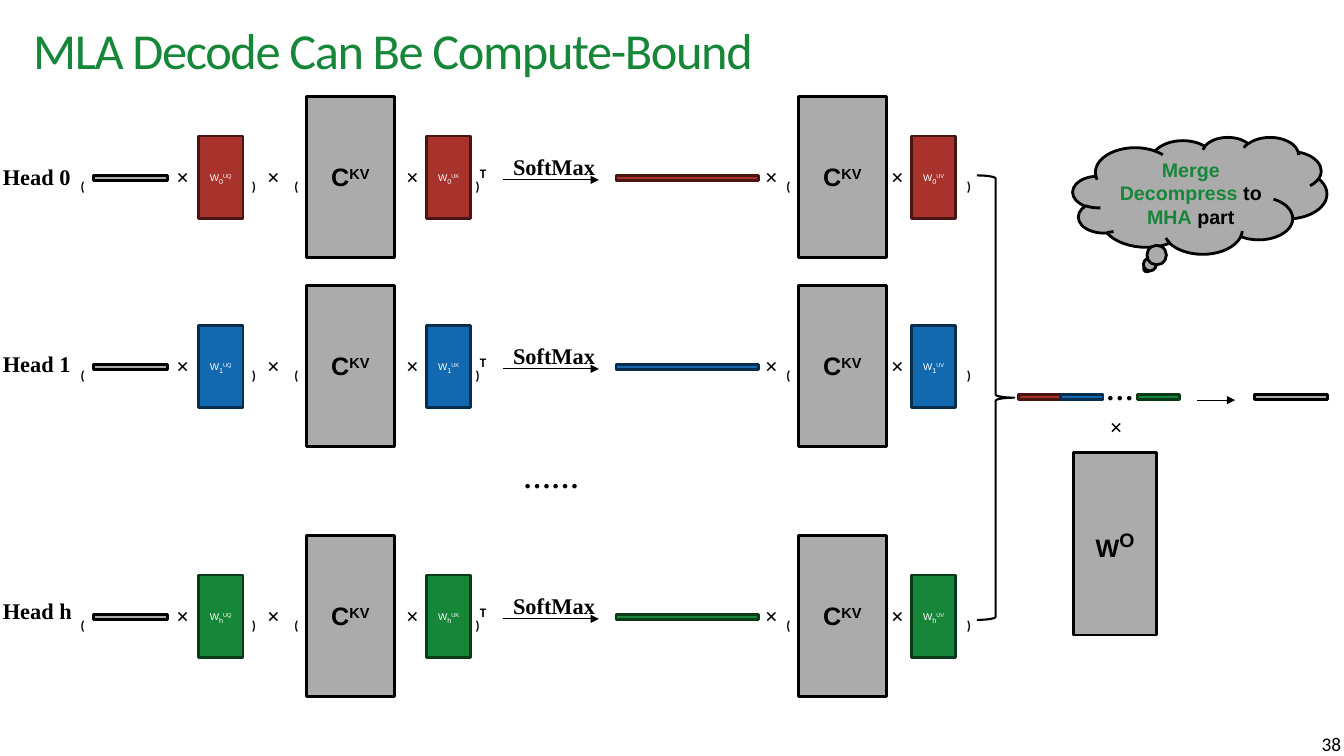
from dataclasses import dataclass

from lxml import etree
from pptx import Presentation
from pptx import util as u
from pptx.dml.color import RGBColor
from pptx.enum import shapes, text
from pptx.oxml.ns import qn

COLUMNS, ROWS = 133.3, 75  # grid of tenth-of-an-inch cells
SUB, SUPER = -25, 30


@dataclass(frozen=True)
class Theme:
    black: str = "000000"
    white: str = "FFFFFF"
    accent: str = "168638"
    # fill and outline pairs
    grey: tuple = ("ABABAB", "000000")
    red: tuple = ("A8322C", "4A1613")
    blue: tuple = ("1269B0", "082E4D")
    green: tuple = ("168638", "0A3B19")
    sans: str = "Arial"
    serif: str = "Times New Roman"
    heading: str = "Calibri"
    title: float = 36
    output: float = 24
    ellipsis: float = 20
    matrix: float = 18
    formula: float = 16
    callout: float = 14
    number: float = 13.8
    index: float = 9
    weight: float = 7
    outline: float = 2
    brace: float = 1.5
    arrow: float = 0.75


class Diagram:
    """Holds the theme and the current slide; lengths are grid columns and rows."""

    def __init__(self, deck, theme):
        self.theme = theme
        self.column = deck.slide_width / COLUMNS
        self.row = deck.slide_height / ROWS
        self.slide = deck.slides.add_slide(deck.slide_layouts[6])

    def place(self, left, top, width, height):
        return (round(left * self.column), round(top * self.row),
                round(width * self.column), round(height * self.row))

    def add_words(self, frame, runs, size, font, color, bold=True,
                  align=text.PP_ALIGN.LEFT):
        """Each run is (words, baseline, size, colour); trailing parts are optional."""
        line = frame.paragraphs[0]
        line.alignment = align
        line.font.name, line.font.size, line.font.bold = font, u.Pt(size), bold
        line.font.color.rgb = RGBColor.from_string(color)
        for words, *style in runs:
            baseline, own_size, own_color = (style + [None] * 3)[:3]
            run = line.add_run()
            run.text = words
            if baseline:
                run._r.get_or_add_rPr().set("baseline", str(baseline * 1000))
            if own_size:
                run.font.size = u.Pt(own_size)
            if own_color:
                run.font.color.rgb = RGBColor.from_string(own_color)
        return line

    def label(self, box, runs, size, font, color=None, wrap=True, **style):
        frame = self.slide.shapes.add_textbox(*self.place(*box)).text_frame
        frame.word_wrap = wrap
        line = self.add_words(frame, runs, size, font, color or self.theme.black,
                              **style)
        return frame, line

    def symbol(self, left, top, sign, *raised):
        """A multiplication sign or a lowered bracket of a formula."""
        times = sign == "×"
        run = (sign,) if times else (sign, SUB)
        self.label((left, top, 3.2, 3.7 if times else 2.8), [run, *raised],
                   self.theme.formula,
                   self.theme.serif if times else self.theme.heading, wrap=False)

    def block(self, box, paint, runs=(), size=None, color=None,
              kind=shapes.MSO_SHAPE.RECTANGLE):
        shape = self.slide.shapes.add_shape(kind, *self.place(*box))
        shape.shadow.inherit = False
        fill, outline = paint
        shape.fill.solid()
        shape.fill.fore_color.rgb = RGBColor.from_string(fill)
        shape.line.color.rgb = RGBColor.from_string(outline)
        shape.line.width = u.Pt(self.theme.outline)
        if runs:
            shape.text_frame.vertical_anchor = text.MSO_ANCHOR.MIDDLE
            self.add_words(shape.text_frame, runs, size, self.theme.sans,
                           color or self.theme.black, size != self.theme.weight,
                           text.PP_ALIGN.CENTER)

    def bar(self, left, middle, width, paint):
        self.block((left, middle - 0.25, width, 0.5), paint)

    def cache(self, left, middle):
        self.block((left, middle - 8.1, 8.7, 16), self.theme.grey,
                   [("C",), ("KV", SUPER)], self.theme.matrix)

    def weight(self, left, middle, index, name, paint):
        self.block((left, middle - 4.15, 4.4, 8.2), paint,
                   [("W",), (index, SUB, self.theme.index), (name, SUPER)],
                   self.theme.weight, self.theme.white)

    def arrow(self, start, end, row):
        x1, y, length, _ = self.place(start, row, end - start, 0)
        line = self.slide.shapes.add_connector(
            shapes.MSO_CONNECTOR.STRAIGHT, x1, y, x1 + length, y)
        line.line.color.rgb = RGBColor.from_string(self.theme.black)
        line.line.width = u.Pt(self.theme.arrow)
        properties = line._element.spPr
        etree.SubElement(properties.find(qn("a:ln")), qn("a:tailEnd"), type="triangle")
        etree.SubElement(properties, qn("a:effectLst"))

    def brace(self, box):
        brace = self.slide.shapes.add_shape(
            shapes.MSO_SHAPE.RIGHT_BRACE, *self.place(*box))
        brace.shadow.inherit = False
        brace.fill.background()
        brace.line.color.rgb = RGBColor.from_string(self.theme.black)
        brace.line.width = u.Pt(self.theme.brace)

    def head(self, index, middle, label_top, paint):
        """One attention head: query, key and value chain on a shared middle row."""
        signs = middle - 1.95
        self.bar(9.3, middle, 7.3, self.theme.grey)
        for left, name in ((19.7, "UQ"), (42.3, "UK"), (90.4, "UV")):
            self.weight(left, middle, index, name, paint)
        for left in (30.4, 79.2):
            self.cache(left, middle)
        for left in (16.5, 25.5, 39.3, 74.9, 87.4):
            self.symbol(left, signs, "×")
        for left in (7, 28.2, 77):
            self.symbol(left, signs, "(")
        for left in (24, 94.9):
            self.symbol(left, signs, ")")
        self.symbol(46.2, signs, ")", ("T", SUPER))
        self.arrow(49.9, 59.4, middle + 0.2)
        self.label((49.9, middle - 2.95, 14.1, 3.7), [("SoftMax",)],
                   self.theme.formula, self.theme.serif)
        self.bar(61.1, middle, 14.1, paint)
        self.label((-0.7, label_top, 14.1, 3.7), [(f"Head {index}",)],
                   self.theme.formula, self.theme.serif)


def main():
    deck = Presentation()
    deck.slide_width, deck.slide_height = u.Inches(13.33), u.Inches(7.5)
    theme = Theme()
    diagram = Diagram(deck, theme)

    # Title and slide number
    frame, title = diagram.label(
        (3.3, 1.9, 127.3, 6.8), [("MLA Decode Can Be Compute-Bound",)],
        theme.title, theme.heading, theme.accent, bold=False)
    frame.margin_left = frame.margin_right = frame.margin_top = frame.margin_bottom = 0
    frame.vertical_anchor = text.MSO_ANCHOR.MIDDLE
    title.line_spacing = 0.9
    title.runs[0]._r.get_or_add_rPr().set("spc", "-100")
    frame, _ = diagram.label((124.7, 72, 9.3, 3.4), [("38",)], theme.number,
                             theme.heading, bold=False, align=text.PP_ALIGN.RIGHT)
    frame.vertical_anchor = text.MSO_ANCHOR.BOTTOM

    # Attention heads
    for index, middle, label_top, paint in (("0", 17.65, 15.7, theme.red),
                                            ("1", 36.4, 34.2, theme.blue),
                                            ("h", 61.2, 58.8, theme.green)):
        diagram.head(index, middle, label_top, paint)
    diagram.label((50.9, 45.2, 14.5, 4.4), [("……",)], theme.ellipsis, theme.serif)

    # Concatenated heads times the output weight
    joined = 39.4
    diagram.brace((96.9, 17.4, 3.7, 44.1))
    for left, paint in ((101, theme.red), (105.2, theme.blue), (112.8, theme.green)):
        diagram.bar(left, joined, 4.2, paint)
    diagram.label((108.7, 36.5, 4.8, 4.4), [("…",)], theme.ellipsis, theme.serif)
    diagram.symbol(109.1, 40.5, "×")
    diagram.block((106.5, 44.9, 8.2, 18.1), theme.grey,
                  [("W",), ("O", SUPER, theme.output)], theme.matrix)
    diagram.arrow(118.7, 122.5, joined + 0.3)
    diagram.bar(124.4, joined, 7.3, theme.grey)

    # Takeaway cloud
    diagram.block((106.4, 13.6, 25.2, 11.6), theme.grey,
                  [("Merge Decompress", 0, None, theme.accent), (" to ",),
                   ("MHA", 0, None, theme.accent), (" part",)],
                  theme.callout, kind=shapes.MSO_SHAPE.CLOUD_CALLOUT)

    deck.save("out.pptx")


if __name__ == "__main__":
    main()
